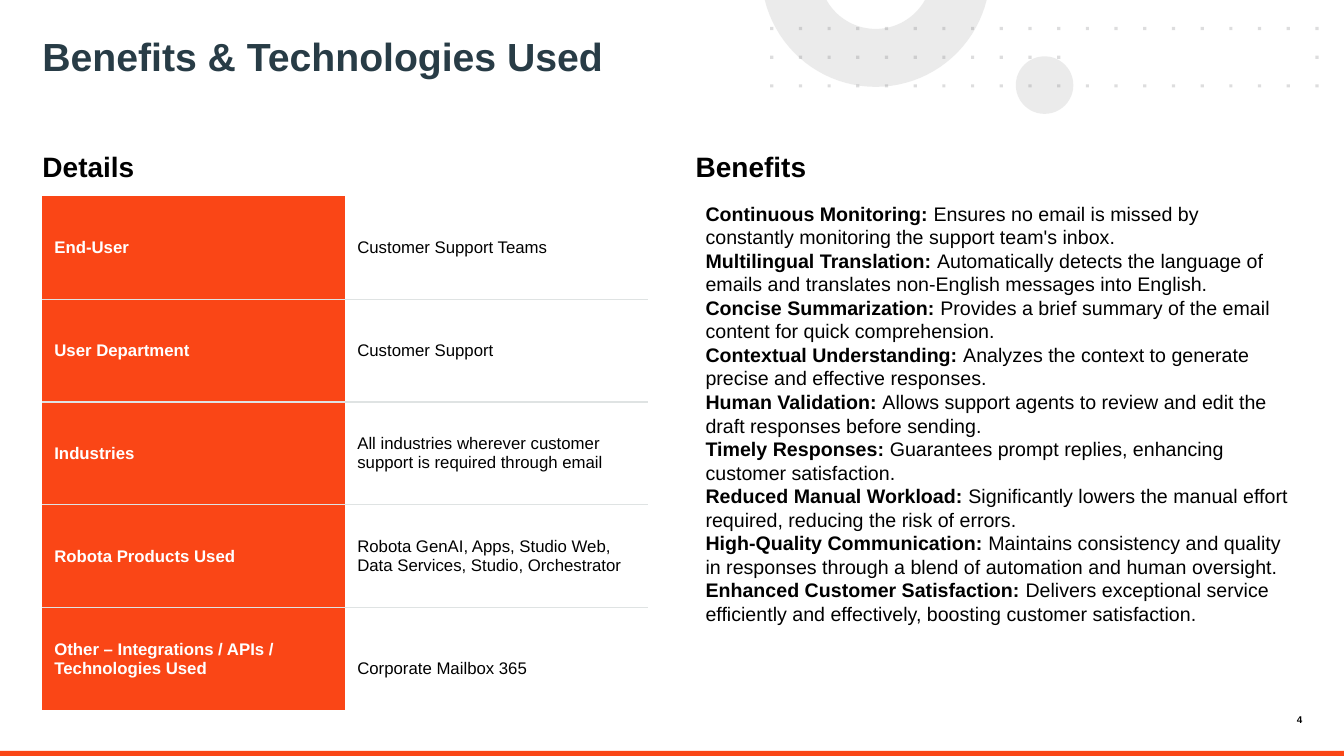
"""Build the "Benefits & Technologies Used" slide."""
from math import acos, cos, sin

from lxml.etree import SubElement
from pptx import Presentation
from pptx.dml.color import RGBColor
from pptx.enum.shapes import MSO_SHAPE as SHAPE
from pptx.enum.text import MSO_ANCHOR as ANCHOR, MSO_AUTO_SIZE as AUTO, PP_ALIGN as ALIGN
from pptx.oxml import parse_xml
from pptx.oxml.ns import nsdecls, qn
from pptx.util import Cm, Pt

ORANGE = RGBColor(0xFA, 0x46, 0x16)
SLATE = RGBColor(0x28, 0x3C, 0x46)
BLACK = RGBColor(0, 0, 0)
WHITE = RGBColor(0xFF, 0xFF, 0xFF)
LIGHT = RGBColor(0xD8, 0xD8, 0xD8)
GRAY = RGBColor(0x58, 0x59, 0x5B)
RULE = RGBColor(0xDF, 0xE3, 0xE3)

DETAILS = [
    ("End-User", "Customer Support Teams"),
    ("User Department", "Customer Support"),
    ("Industries", "All industries wherever customer support is required through email"),
    ("Robota Products Used",
     "Robota GenAI, Apps, Studio Web, Data Services, Studio, Orchestrator"),
    ("Other – Integrations / APIs / Technologies Used", "Corporate Mailbox 365"),
]
BENEFITS = [
    ("Continuous Monitoring:",
     "Ensures no email is missed by constantly monitoring the support team's inbox."),
    ("Multilingual Translation:",
     "Automatically detects the language of emails and translates non-English messages into English."),
    ("Concise Summarization:",
     "Provides a brief summary of the email content for quick comprehension."),
    ("Contextual Understanding:",
     "Analyzes the context to generate precise and effective responses."),
    ("Human Validation:",
     "Allows support agents to review and edit the draft responses before sending."),
    ("Timely Responses:", "Guarantees prompt replies, enhancing customer satisfaction."),
    ("Reduced Manual Workload:",
     "Significantly lowers the manual effort required, reducing the risk of errors."),
    ("High-Quality Communication:",
     "Maintains consistency and quality in responses through a blend of automation and human oversight."),
    ("Enhanced Customer Satisfaction:",
     "Delivers exceptional service efficiently and effectively, boosting customer satisfaction."),
]


def write(p, text, size=12, color=BLACK, bold=False, align=ALIGN.LEFT, spacing=None):
    p.alignment = align
    p.space_before = Pt(0)
    p.line_spacing = spacing
    r = p.add_run()
    r.text = text
    r.font.name = "Arial"
    r.font.size = Pt(size)
    r.font.bold = bold
    r.font.color.rgb = color


def paint(sp, color, opacity=100):
    sp.shadow.inherit = False
    sp.line.fill.background()
    sp.fill.solid()
    sp.fill.fore_color.rgb = color
    if opacity < 100:
        clr = sp._element.spPr.find(qn("a:solidFill"))[0]
        SubElement(clr, qn("a:alpha")).set("val", str(opacity * 1000))


prs = Presentation()
prs.slide_width, prs.slide_height = Cm(33.87), Cm(19.05)
s = prs.slides.add_slide(prs.slide_layouts[4])
ph = {sp.placeholder_format.idx: sp for sp in s.placeholders}
ph[2]._element.getparent().remove(ph[2]._element)

paint(s.shapes.add_shape(SHAPE.RECTANGLE, 0, Cm(18.92), prs.slide_width, Cm(0.13)), ORANGE)
paint(s.shapes.add_shape(SHAPE.OVAL, Cm(25.6), Cm(1.42), Cm(1.45), Cm(1.45)), LIGHT, 50)

cx, cy, steps = 22.07, -0.69, 40
ring = []
for radius, side in ((2.88, 1), (1.42, -1)):
    half = acos(-cy / radius)
    for i in range(steps + 1):
        angle = side * half * (2 * i / steps - 1)
        ring.append((Cm(cx + radius * sin(angle)), Cm(cy + radius * cos(angle))))
fb = s.shapes.build_freeform(*ring[0])
fb.add_line_segments(ring[1:])
paint(fb.convert_to_shape(), LIGHT, 50)

left, top, pitch, dot = 19.41, 0.68, 0.72, 0.08
pitch = (33.15 - left) / 19
fb = s.shapes.build_freeform(Cm(left), Cm(top))
for row in range(3):
    for col in range(20):
        if row == 1 and 11 <= col <= 18:
            continue
        x, y = left + col * pitch, top + row * pitch
        fb.move_to(Cm(x), Cm(y))
        fb.add_line_segments([(Cm(x + dot), Cm(y)), (Cm(x + dot), Cm(y + dot)),
                              (Cm(x), Cm(y + dot))])
paint(fb.convert_to_shape(), GRAY, 20)

number = s.shapes.add_textbox(Cm(31.83), Cm(17.98), Cm(0.99), Cm(0.33))
boxes = [
    (ph[0], 1.07, 0.99, 18.36, 1.9, ANCHOR.TOP, 0, 0),
    (ph[1], 1.07, 3.25, 15.27, 1.37, ANCHOR.BOTTOM, 0, 0),
    (ph[3], 17.53, 3.25, 15.27, 1.37, ANCHOR.BOTTOM, 0, 0),
    (ph[4], 17.53, 4.95, 15.29, 12.29, ANCHOR.TOP, 0.25, 0.13),
    (number, 31.83, 17.98, 0.99, 0.33, ANCHOR.TOP, 0, 0),
]
for sp, x, y, w, h, anchor, side, edge in boxes:
    sp.left, sp.top, sp.width, sp.height = Cm(x), Cm(y), Cm(w), Cm(h)
    tf = sp.text_frame
    tf.auto_size = AUTO.NONE
    tf.word_wrap = True
    tf.vertical_anchor = anchor
    tf.margin_left = tf.margin_right = Cm(side)
    tf.margin_top = tf.margin_bottom = Cm(edge)

write(ph[0].text_frame.paragraphs[0], "Benefits & Technologies Used",
      size=28, color=SLATE, bold=True, spacing=0.85)
for idx, heading in ((1, "Details"), (3, "Benefits")):
    write(ph[idx].text_frame.paragraphs[0], heading, size=20, bold=True, spacing=0.9)
write(number.text_frame.paragraphs[0], "4", size=7, bold=True, align=ALIGN.RIGHT)

tf = ph[4].text_frame
for i, (name, text) in enumerate(BENEFITS):
    p = tf.add_paragraph() if i else tf.paragraphs[0]
    pPr = p._p.get_or_add_pPr()
    pPr.set("marL", "0")
    pPr.set("indent", "0")
    SubElement(pPr, qn("a:buNone"))
    write(p, name + " ", size=14, bold=True, spacing=Pt(16.8))
    write(p, text, size=14, spacing=Pt(16.8))

last = len(DETAILS) - 1
frame = s.shapes.add_table(len(DETAILS), 2, Cm(1.07), Cm(4.95), Cm(15.27), Cm(12.95))
table = frame.table
table.first_row = table.horz_banding = False
table._tbl.tblPr.find(qn("a:tableStyleId")).text = "{2D5ABB26-0587-4C30-8999-92F81FD0307C}"
for i, texts in enumerate(DETAILS):
    for j, text in enumerate(texts):
        cell = table.cell(i, j)
        cell.fill.solid()
        cell.fill.fore_color.rgb = WHITE if j else ORANGE
        cell.vertical_anchor = ANCHOR.MIDDLE
        cell.margin_left = cell.margin_right = Cm(0.3)
        cell.margin_top = cell.margin_bottom = Cm(0.13)
        write(cell.text_frame.paragraphs[0], text, color=BLACK if j else WHITE, bold=not j)
        sides = (["lnT"] if i else []) + (["lnB"] if i < last else [])
        for k, side in enumerate(sides):
            cell._tc.get_or_add_tcPr().insert(k, parse_xml(
                f'<a:{side} {nsdecls("a")} w="12700"><a:solidFill>'
                f'<a:srgbClr val="{RULE}"/></a:solidFill></a:{side}>'))
table.cell(last, 1).margin_top = Cm(0.62)

prs.save("out.pptx")
